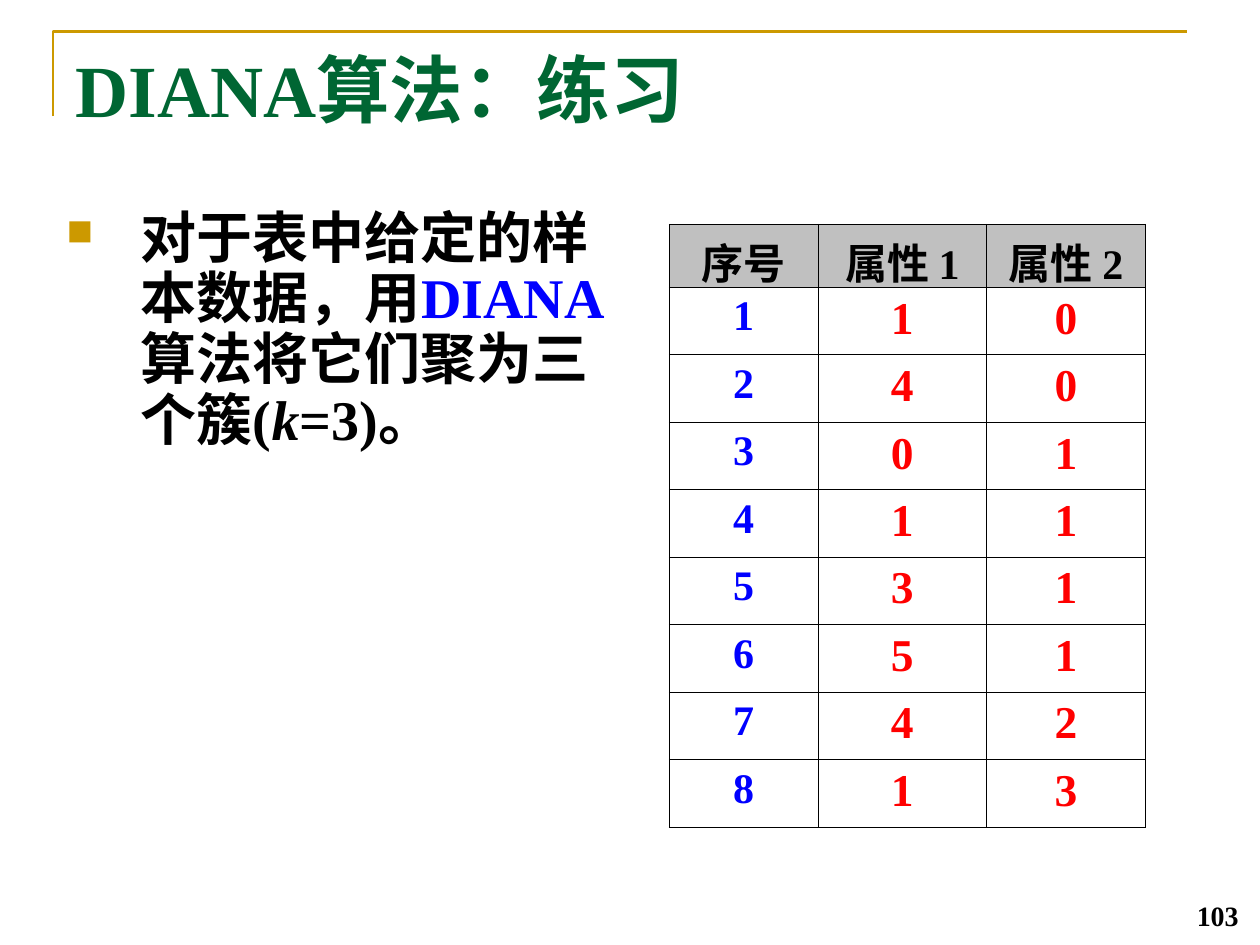
import pptx
import pptx.dml.color
import pptx.enum.text
import pptx.oxml
import pptx.oxml.ns
import pptx.util
from pptx.util import Cm

FONT = "Times New Roman"
BLACK, BLUE, RED = "000000", "0000FF", "FF0000"
GREEN, GOLD, GREY = "006633", "CC9900", "C0C0C0"
ALIGN = pptx.enum.text.PP_ALIGN
ANCHOR = pptx.enum.text.MSO_ANCHOR


def rgb(value):
    return pptx.dml.color.RGBColor.from_string(value)


def xml(text):
    ns = pptx.oxml.ns.nsdecls("a")
    return pptx.oxml.parse_xml(text.replace(" NS", " " + ns, 1))


def add_text(p, text, size=24, color=BLACK, italic=False, align=None):
    """Add one bold run to a paragraph."""
    r = p.add_run()
    r.text = text
    r.font.name = FONT
    r.font.size = pptx.util.Pt(size)
    r.font.bold = True
    r.font.italic = italic
    r.font.color.rgb = rgb(color)
    if align is not None:
        p.alignment = align


def add_box(s, left, top, width, height, anchor=ANCHOR.TOP):
    """Add a wrapping text box and return its first paragraph."""
    tf = s.shapes.add_textbox(Cm(left), Cm(top), Cm(width), Cm(height)).text_frame
    tf.word_wrap = True
    tf.vertical_anchor = anchor
    return tf.paragraphs[0]


def add_bullet(p, indent):
    pPr = p._p.get_or_add_pPr()
    pPr.set("marL", str(Cm(indent)))
    pPr.set("indent", str(-Cm(indent)))
    pPr.append(xml(f'<a:buClr NS><a:srgbClr val="{GOLD}"/></a:buClr>'))
    pPr.append(xml('<a:buSzPct NS val="65000"/>'))
    pPr.append(xml('<a:buChar NS char="■"/>'))


def add_corner_line(s):
    fb = s.shapes.build_freeform(Cm(1.07), Cm(2.34))
    fb.add_line_segments([(Cm(1.07), Cm(0.64)), (Cm(23.93), Cm(0.64))], close=False)
    sp = fb.convert_to_shape()
    sp.shadow.inherit = False
    sp.fill.background()
    sp.line.color.rgb = rgb(GOLD)
    sp.line.width = pptx.util.Pt(1.5)


def set_borders(cell):
    tcPr = cell._tc.get_or_add_tcPr()
    width = pptx.util.Pt(0.45)
    for side in "LRTB":
        tcPr.append(xml(f'<a:ln{side} NS w="{width}"><a:solidFill>'
                        f'<a:srgbClr val="{BLACK}"/></a:solidFill></a:ln{side}>'))


def add_data_table(s, header, points):
    rows = [header] + [(i, *point) for i, point in enumerate(points, 1)]
    widths = [3.0, 3.4, 3.2]
    heights = [1.27] + [1.36] * len(points)
    tbl = s.shapes.add_table(len(rows), len(header), Cm(13.49), Cm(4.52),
                             Cm(sum(widths)), Cm(sum(heights))).table
    tbl.first_row = tbl.horz_banding = False
    for col, width in zip(tbl.columns, widths):
        col.width = Cm(width)
    for i, row in enumerate(rows):
        tbl.rows[i].height = Cm(heights[i])
        for j, value in enumerate(row):
            cell = tbl.cell(i, j)
            set_borders(cell)
            p = cell.text_frame.paragraphs[0]
            if i == 0:
                cell.fill.solid()
                cell.fill.fore_color.rgb = rgb(GREY)
                add_text(p, value, align=ALIGN.CENTER)
            else:
                cell.fill.background()
                size, color = (24, BLUE) if j == 0 else (26, RED)
                add_text(p, str(value), size=size, color=color, align=ALIGN.CENTER)


def main():
    prs = pptx.Presentation()
    prs.slide_width, prs.slide_height = Cm(25.4), Cm(19.05)
    s = prs.slides.add_slide(prs.slide_layouts[6])

    # Frame and page number
    add_corner_line(s)
    p = add_box(s, 19.3, 17.65, 5.92, 1.27, anchor=ANCHOR.BOTTOM)
    add_text(p, "103", size=16, align=ALIGN.RIGHT)

    # Sample data
    add_data_table(s, ("序号", "属性 1", "属性 2"),
                   [(1, 0), (4, 0), (0, 1), (1, 1), (3, 1), (5, 1), (4, 2), (1, 3)])

    # Exercise
    p = add_box(s, 1.09, 4.11, 11.61, 5.21)
    add_bullet(p, 1.5)
    p.line_spacing = 0.9
    add_text(p, "对于表中给定的样本数据，用", size=32)
    add_text(p, "DIANA", size=32, color=BLUE)
    add_text(p, "算法将它们聚为三个簇(", size=32)
    add_text(p, "k", size=32, italic=True)
    add_text(p, "=3)。", size=32)

    # Title
    p = add_box(s, 1.27, 0.76, 22.86, 2.36)
    add_text(p, "DIANA算法：练习", size=42, color=GREEN)

    prs.save("out.pptx")


if __name__ == "__main__":
    main()
